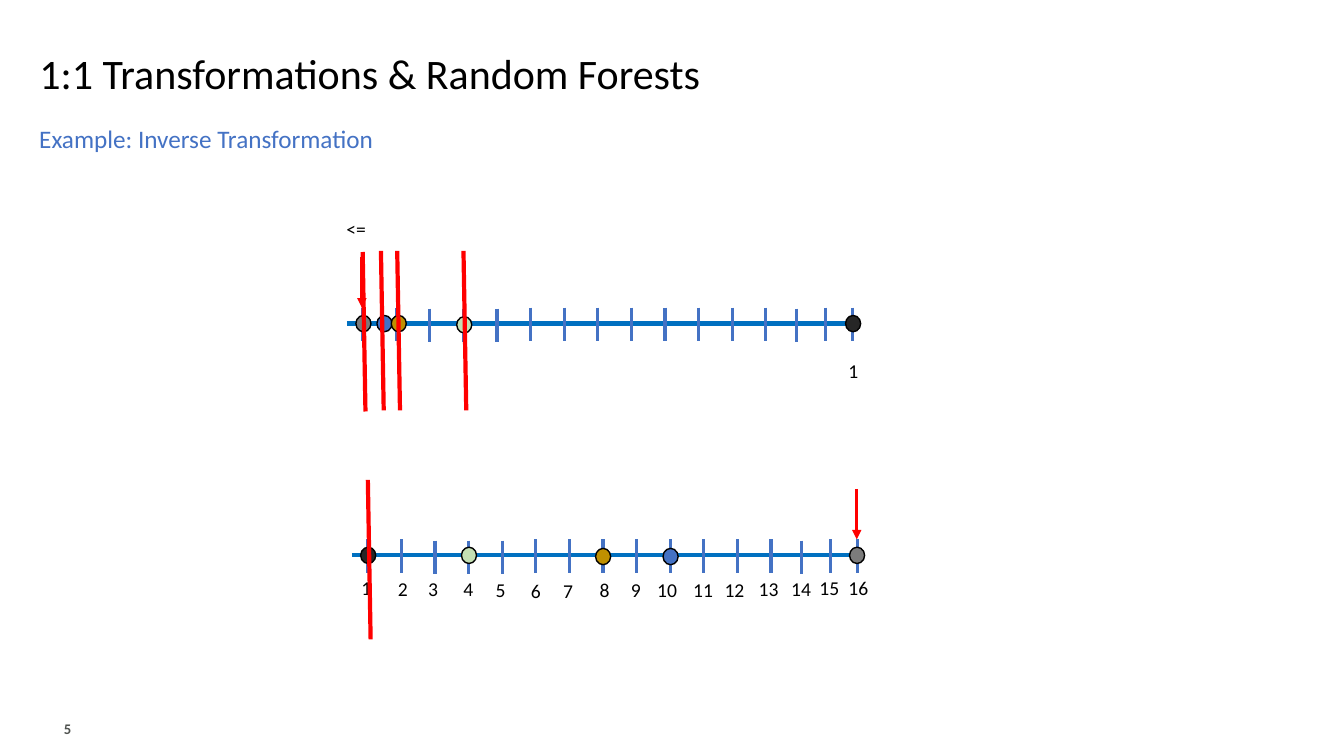
"""Slide on inverse transformation: two number lines with split marks."""
from pptx import Presentation
from pptx.dml.color import RGBColor as RGB
from pptx.enum.shapes import MSO_CONNECTOR as Link, MSO_SHAPE as Shape
from pptx.enum.text import MSO_ANCHOR as Anchor, MSO_AUTO_SIZE as Auto, PP_ALIGN as Align
from pptx.oxml.ns import qn
from pptx.util import Cm, Pt
from lxml.etree import SubElement

HUES = {
    "black": "000000", "blue": "4472C4", "axis": "0070C0", "red": "FF0000",
    "slate": "505350", "gold": "BF9000", "green": "C5E0B4",
    "dark": "262626", "gray": "7C7C7C",
}


def rule(home, ends, hue, width):
    line = home.add_connector(Link.STRAIGHT, *[Cm(v) for v in ends])
    line.line.color.rgb = RGB.from_string(HUES[hue])
    line.line.width = Pt(width)
    SubElement(line._element.spPr, qn("a:effectLst"))
    return line


def write(box, text, size, hue, space):
    frame = box.text_frame
    frame.word_wrap = True
    frame.auto_size = Auto.NONE
    frame.text = text
    par = frame.paragraphs[0]
    par.alignment = Align.LEFT
    par.line_spacing = space
    font = par.runs[0].font
    font.name = "Calibri"
    font.size = Pt(size)
    font.color.rgb = RGB.from_string(HUES[hue])
    return par


deck = Presentation()
deck.slide_width, deck.slide_height = Cm(33.87), Cm(19.05)
slide = deck.slides.add_slide(deck.slide_layouts[5])
shapes = slide.shapes

title = shapes.title
title.left, title.top, title.width, title.height = Cm(0.74), Cm(0.66), Cm(32.39), Cm(2.51)
write(title, "1:1 Transformations & Random Forests", 30, "black", 0.9)
title.text_frame.vertical_anchor = Anchor.MIDDLE

head = shapes.add_textbox(Cm(0.74), Cm(3.07), Cm(32.39), Cm(1.12))
write(head, "Example: Inverse Transformation", 18, "blue", 0.9)

page = shapes.add_textbox(Cm(0.81), Cm(17.96), Cm(1.24), Cm(0.74))
par = write(page, "5", 10.5, "slate", 1.0)
par.alignment = Align.RIGHT
par.runs[0].font.bold = True
page.text_frame.vertical_anchor = Anchor.BOTTOM

for x, y in [(21.59, 12.32), (9.12, 6.48)]:
    arrow = rule(shapes, (x, y, x, y + 1.27), "red", 2.25)
    SubElement(arrow.line._get_or_add_ln(), qn("a:tailEnd"), type="triangle")

ticks = [9.14 + 10.16 * i / 12 for i in range(13)] + [20.07, 20.8, 21.49]
for dx, dy in [(0.13, 5.84), (0, 0)]:
    scale = shapes.add_group_shape().shapes
    rule(scale, (8.74 + dx, 8.15 + dy, 21.64 + dx, 8.15 + dy), "axis", 3)
    for i, x in enumerate(ticks):
        top = 7.75 + dy + (0.03 if i in (2, 3, 4, 13) else 0)
        rule(scale, (x + dx, top, x + dx, top + 0.84), "blue", 2.25)

lefts = [8.86, 9.78, 10.54, 11.43, 12.24, 13.13, 13.94, 14.86,
         15.65, 16.31, 17.22, 18.01, 18.87, 19.69, 20.4, 21.13]
tops = [14.43, 14.45, 14.45, 14.45, 14.48, 14.5, 14.5, 14.48,
        14.48, 14.48, 14.48, 14.48, 14.45, 14.45, 14.43, 14.43]
names = shapes.add_group_shape().shapes
for n, (x, y) in enumerate(zip(lefts, tops), 1):
    width = 0.64 if n < 10 else 1.12 if n < 15 else 1.47
    write(names.add_textbox(Cm(x), Cm(y), Cm(width), Cm(0.81)), str(n), 14, "black", 0.95)
write(shapes.add_textbox(Cm(21.13), Cm(8.97), Cm(1.47), Cm(0.81)), "1", 14, "black", 0.95)

dots = [
    (16.71, 13.82, "blue"), (15.01, 13.82, "gold"), (11.63, 13.79, "green"),
    (9.09, 13.79, "dark"), (21.41, 13.79, "gray"),
    (8.97, 7.95, "gray"), (21.31, 7.95, "dark"), (9.5, 7.95, "blue"),
    (11.51, 7.98, "green"), (9.86, 7.95, "gold"),
]
for x, y, hue in dots:
    dot = shapes.add_shape(Shape.OVAL, Cm(x), Cm(y), Cm(0.38), Cm(0.41))
    dot.shadow.inherit = False
    dot.fill.solid()
    dot.fill.fore_color.rgb = RGB.from_string(HUES[hue])
    dot.line.color.rgb = RGB.from_string(HUES["black"])
    dot.line.width = Pt(1)

for x, y in [(9.27, 12.09), (9.14, 6.35), (9.6, 6.32), (10.01, 6.32), (11.68, 6.32)]:
    rule(shapes, (x, y, x + 0.07, y + 4.02), "red", 3)

write(shapes.add_textbox(Cm(8.48), Cm(5.38), Cm(1.85), Cm(0.81)), "<=", 14, "black", 0.95)

deck.save("out.pptx")
